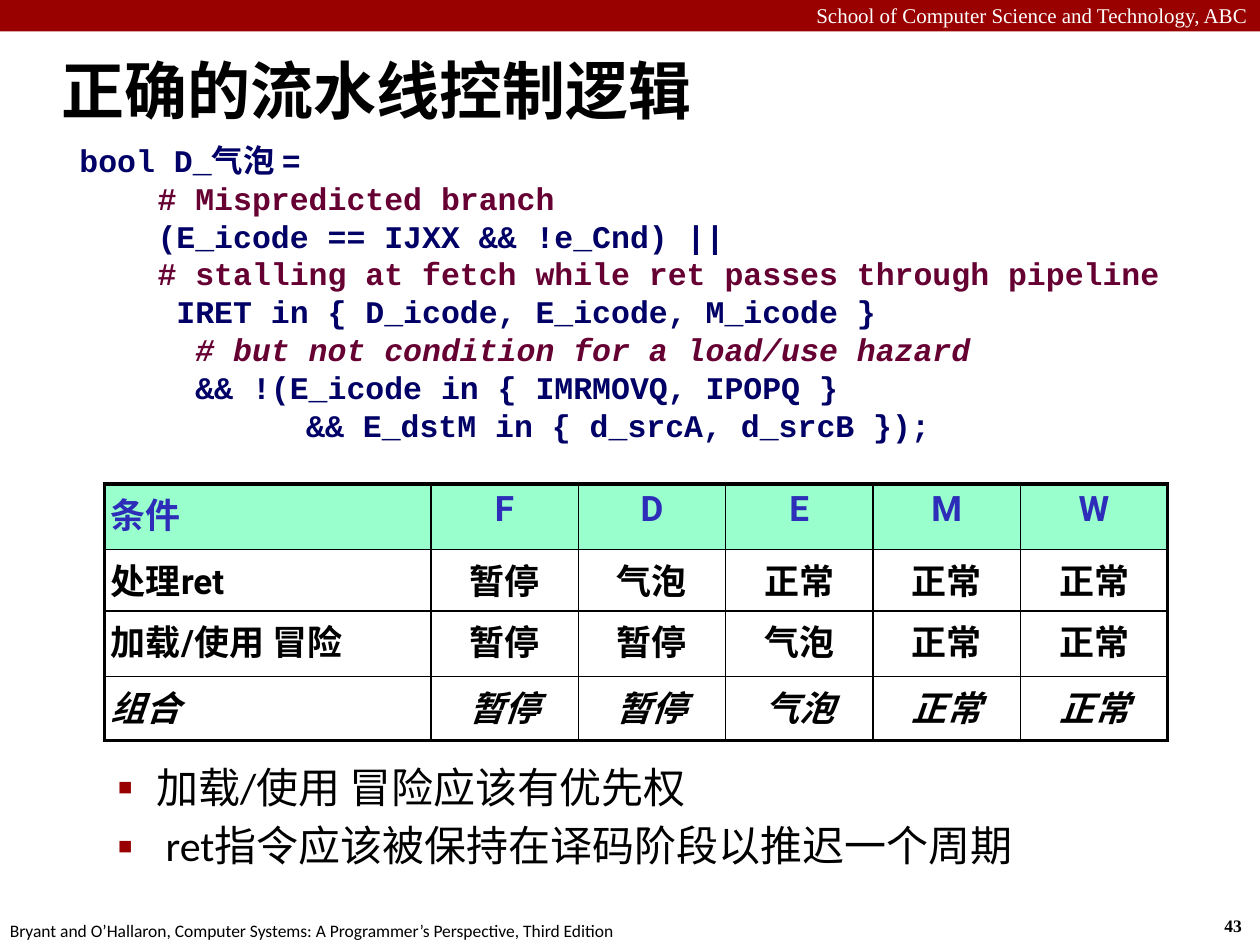
from pptx import Presentation
from pptx.dml.color import RGBColor
from pptx.enum.shapes import MSO_SHAPE
from pptx.enum.text import MSO_ANCHOR, MSO_AUTO_SIZE, PP_ALIGN
from pptx.oxml.ns import qn
from pptx.util import Inches, Pt
from lxml import etree

LEFT, CENTER, RIGHT = PP_ALIGN.LEFT, PP_ALIGN.CENTER, PP_ALIGN.RIGHT
RECTANGLE = MSO_SHAPE.RECTANGLE
MIDDLE, TOP = MSO_ANCHOR.MIDDLE, MSO_ANCHOR.TOP
NO_FIT = MSO_AUTO_SIZE.NONE

RED = RGBColor(0x99, 0x00, 0x00)
WHITE = RGBColor(0xFF, 0xFF, 0xFF)
BLACK = RGBColor(0x00, 0x00, 0x00)
NAVY = RGBColor(0x00, 0x00, 0x66)
PLUM = RGBColor(0x66, 0x00, 0x33)
MINT = RGBColor(0x99, 0xFF, 0xCC)
INDIGO = RGBColor(0x2D, 0x2D, 0xB9)

# Text, indent in inches, is a comment, is italic
CODE = [
    ("bool D_气泡 =", 0, False, False),
    ("# Mispredicted branch", 0.62, True, False),
    ("(E_icode == IJXX && !e_Cnd) ||", 0.62, False, False),
    ("# stalling at fetch while ret passes through pipeline", 0.62, True, False),
    ("IRET in { D_icode, E_icode, M_icode }", 0.77, False, False),
    ("# but not condition for a load/use hazard", 0.92, True, True),
    ("&& !(E_icode in { IMRMOVQ, IPOPQ }", 0.92, False, False),
    ("&& E_dstM in { d_srcA, d_srcB });", 1.8, False, False),
]
CONDITIONS = [
    ["条件", "F", "D", "E", "M", "W"],
    ["处理ret", "暂停", "气泡", "正常", "正常", "正常"],
    ["加载/使用 冒险", "暂停", "暂停", "气泡", "正常", "正常"],
    ["组合", "暂停", "暂停", "气泡", "正常", "正常"],
]
COL_WIDTHS = [2.59] + [1.17] * 5
ROW_HEIGHTS = [0.52, 0.49, 0.52, 0.51]
POINTS = ["加载/使用 冒险应该有优先权", " ret指令应该被保持在译码阶段以推迟一个周期"]


def place(sp, left, top, width, height):
    sp.left, sp.top = Inches(left), Inches(top)
    sp.width, sp.height = Inches(width), Inches(height)


def set_font(p, name, size, color, bold=False, italic=False):
    font = p.font
    font.name, font.size = name, Pt(size)
    font.bold, font.italic = bold, italic
    font.color.rgb = color


def add_sub(parent, tag, **attrs):
    return etree.SubElement(parent, qn(tag), attrs)


def set_indent(p, margin, first_line=0):
    pPr = p._p.get_or_add_pPr()
    pPr.set("marL", str(Inches(margin)))
    pPr.set("indent", str(Inches(first_line)))
    return pPr


def add_label(s, text, box, font, size, color, bold=False, align=LEFT, wrap=False):
    sp = s.shapes.add_textbox(*map(Inches, box))
    tf = sp.text_frame
    tf.word_wrap = wrap
    p = tf.paragraphs[0]
    p.text = text
    p.alignment = align
    set_font(p, font, size, color, bold)


def add_header_bar(s):
    bar = s.shapes.add_shape(RECTANGLE, 0, 0, Inches(10), Inches(0.25))
    bar.shadow.inherit = False
    bar.fill.solid()
    bar.fill.fore_color.rgb = RED
    bar.line.fill.background()


def fill_title(s, text):
    sp = s.shapes.title
    place(sp, 0.39, 0.29, 9.61, 0.83)
    tf = sp.text_frame
    tf.text = text
    tf.auto_size = NO_FIT
    tf.vertical_anchor = MIDDLE
    p = tf.paragraphs[0]
    p.alignment = LEFT
    set_font(p, "Calibri", 36, BLACK, bold=True)


def fill_body(s, points):
    sp = s.placeholders[1]
    place(sp, 0.33, 5.99, 9.2, 1.23)
    tf = sp.text_frame
    tf.text = "\n".join(points)
    tf.auto_size = NO_FIT
    tf.vertical_anchor = TOP
    for p in tf.paragraphs:
        p.level = 1
        pPr = set_indent(p, 0.81, -0.31)
        add_sub(add_sub(pPr, "a:spcBef"), "a:spcPct", val="20000")
        add_sub(add_sub(pPr, "a:buClr"), "a:srgbClr", val=str(RED))
        add_sub(pPr, "a:buSzPct", val="110000")
        add_sub(pPr, "a:buChar", char="▪")
        set_font(p, "Calibri", 24, BLACK)


def add_code(s, lines):
    sp = s.shapes.add_textbox(*map(Inches, (0.58, 1.07, 9.25, 2.83)))
    tf = sp.text_frame
    tf.word_wrap = True
    tf.margin_left = tf.margin_right = Inches(0.05)
    tf.margin_top = tf.margin_bottom = Inches(0.05)
    tf.text = "\n".join(text for text, *_ in lines)
    for p, (_, indent, comment, italic) in zip(tf.paragraphs, lines):
        set_indent(p, indent)
        set_font(p, "Courier New", 18, PLUM if comment else NAVY, True, italic)


def set_borders(cell, outer_sides):
    """Thin lines all round, thick ones on the sides in outer_sides."""
    tcPr = cell._tc.get_or_add_tcPr()
    for side in "LRTB":
        width = Pt(2.25 if side in outer_sides else 1)
        ln = add_sub(tcPr, "a:ln" + side, w=str(width))
        add_sub(add_sub(ln, "a:solidFill"), "a:srgbClr", val=str(BLACK))


def format_cell(cell, text, header, label, italic):
    cell.margin_left = cell.margin_right = Inches(0.05)
    cell.margin_top = cell.margin_bottom = Inches(0.05)
    cell.text = text
    p = cell.text_frame.paragraphs[0]
    p.alignment = LEFT if label else CENTER
    p.line_spacing = 0.95
    add_sub(add_sub(p._p.get_or_add_pPr(), "a:spcBef"), "a:spcPct", val="50000")
    set_font(p, "Roboto", 20, INDIGO if header else BLACK, True, italic)
    if header:
        cell.fill.solid()
        cell.fill.fore_color.rgb = MINT
    else:
        cell.fill.background()


def add_condition_table(s, rows):
    last_row, last_col = len(rows) - 1, len(rows[0]) - 1
    frame = s.shapes.add_table(
        len(rows), len(rows[0]), Inches(0.83), Inches(3.84),
        Inches(sum(COL_WIDTHS)), Inches(sum(ROW_HEIGHTS)))
    table = frame.table
    table.first_row = table.horz_banding = False
    for col, width in zip(table.columns, COL_WIDTHS):
        col.width = Inches(width)
    for row, height in zip(table.rows, ROW_HEIGHTS):
        row.height = Inches(height)
    for i, row in enumerate(rows):
        for j, text in enumerate(row):
            cell = table.cell(i, j)
            edges = {"L": j == 0, "R": j == last_col, "T": i == 0, "B": i == last_row}
            set_borders(cell, [side for side, outer in edges.items() if outer])
            format_cell(cell, text, i == 0, j == 0, i == last_row)


def main():
    prs = Presentation()
    prs.slide_width, prs.slide_height = Inches(10), Inches(7.5)
    s = prs.slides.add_slide(prs.slide_layouts[1])
    add_header_bar(s)
    add_label(s, "School of Computer Science and Technology, ABC", (0, -0.03, 10, 0.3),
              "Times New Roman", 12, WHITE, align=RIGHT, wrap=True)
    add_label(s, "43", (9.62, 7.21, 0.37, 0.27), "Times New Roman", 10, BLACK, bold=True)
    add_label(s, "Bryant and O’Hallaron, Computer Systems: A Programmer’s Perspective, "
              "Third Edition", (-0.02, 7.25, 5.08, 0.27), "Calibri", 10, BLACK)
    fill_title(s, "正确的流水线控制逻辑")
    fill_body(s, POINTS)
    add_condition_table(s, CONDITIONS)
    add_code(s, CODE)
    prs.save("out.pptx")


if __name__ == "__main__":
    main()
